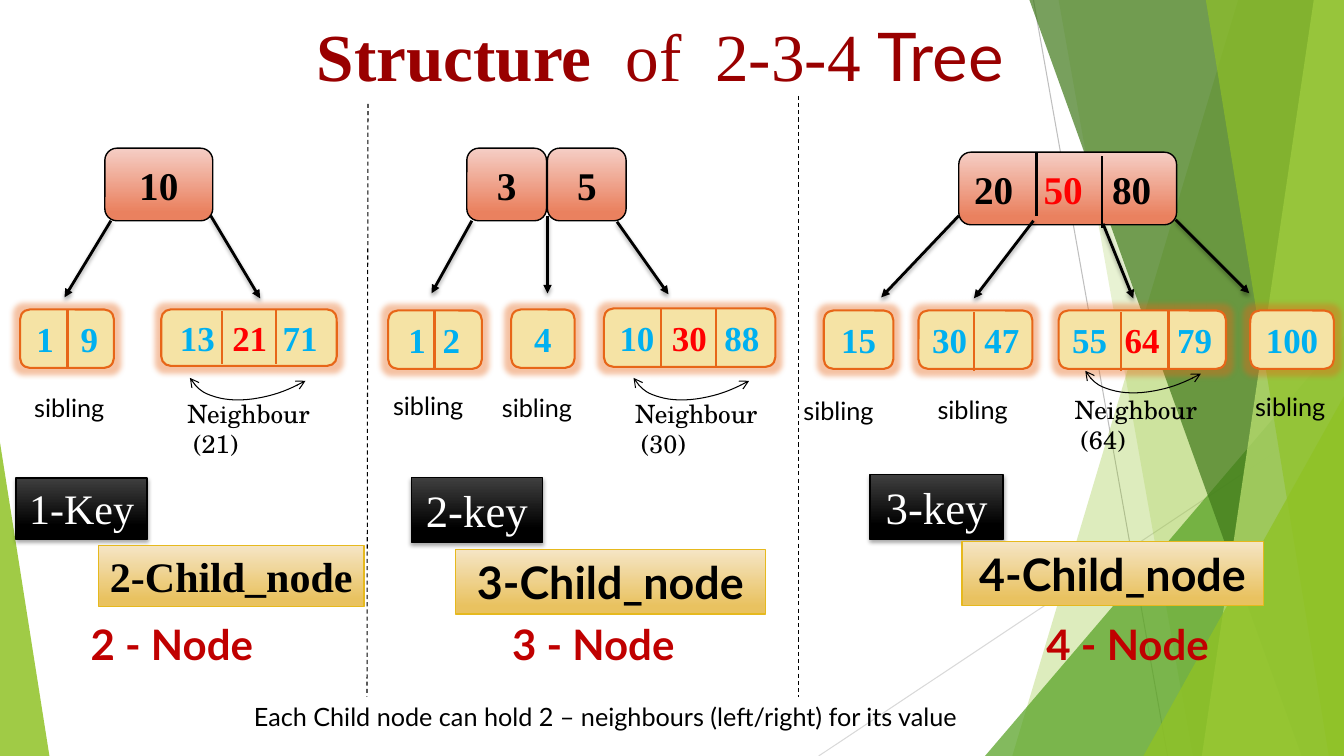
import pptx
import pptx.dml.color
import pptx.enum.dml
import pptx.enum.shapes
import pptx.enum.text
import pptx.oxml.ns
import pptx.util
from dataclasses import dataclass
from lxml import etree

PX = 9144  # 100 px to the inch
qn = pptx.oxml.ns.qn
RGB = pptx.dml.color.RGBColor.from_string
Pt = pptx.util.Pt
SHAPE = pptx.enum.shapes.MSO_SHAPE
ALIGN = pptx.enum.text.PP_ALIGN
ANCHOR = pptx.enum.text.MSO_ANCHOR


@dataclass(frozen=True)
class Theme:
    serif: str = "Times New Roman"
    sans: str = "Lato"
    school: str = "TeX Gyre Schola"
    black: str = "000000"
    white: str = "FFFFFF"
    title: str = "990000"
    node_name: str = "C00000"
    key: str = "00B0F0"
    middle_key: str = "FF0000"
    leaf: str = "F5E3A5"
    leaf_line: str = "E76618"
    gold_line: str = "E6B91E"
    root_fill: tuple = (("F5CEC5", 0), ("EA815F", .88))
    gold_fill: tuple = (("F5E5C5", 0), ("E9C260", .88))
    dark_fill: tuple = (("3F3F3F", 0), ("000000", .78))
    title_size: int = 48
    big: int = 32
    medium: int = 30
    root_size: int = 28
    leaf_size: int = 25
    small: int = 18


T = Theme()


@dataclass(frozen=True)
class Node:
    box: tuple
    keys: tuple           # (text, centre x)
    cuts: tuple = ()      # (x, top, bottom)
    root: bool = False


@dataclass(frozen=True)
class Label:
    box: tuple
    text: str
    size: int
    font: str


ROOTS = [
    Node((951, 151, 216, 72), (("20", 986), ("50", 1055), ("80", 1123)),
         ((1028, 151, 214), (1093, 155, 226)), True),
    Node((104, 147, 107, 72), (("10", 158),), root=True),
    Node((463, 147, 79, 72), (("3", 502),), root=True),
    Node((543, 147, 78, 72), (("5", 582),), root=True),
]
LEAVES = [
    Node((160, 307, 174, 56), (("13", 196), ("21", 248), ("71", 298)), ((220, 309, 361), (274, 307, 361))),
    Node((20, 307, 93, 58), (("1", 45), ("9", 89)), ((67, 307, 365),)),
    Node((1240, 308, 83, 58), (("100", 1281),)),
    Node((1050, 308, 166, 58), (("55", 1081), ("64", 1133), ("79", 1185)), ((1112, 310, 368), (1159, 309, 365))),
    Node((911, 308, 113, 58), (("30", 942), ("47", 994)), ((966, 310, 368),)),
    Node((817, 308, 69, 58), (("15", 852),)),
    Node((599, 306, 170, 58), (("10", 632), ("30", 684), ("88", 736)), ((656, 306, 364), (710, 306, 364))),
    Node((507, 307, 63, 58), (("4", 538),)),
    Node((385, 308, 93, 58), (("1", 414), ("2", 448)), ((431, 308, 366),)),
]
ARROWS = [(543, 214, 543, 291), (468, 219, 428, 291), (612, 220, 663, 292),
          (1025, 219, 966, 296), (1094, 222, 1124, 296), (951, 214, 874, 295),
          (1166, 218, 1239, 291), (110, 219, 64, 295), (209, 214, 258, 296)]
KEY_TAGS = [Label((16, 474, 130, 61), "1-Key", T.medium, T.serif),
            Label((408, 474, 130, 64), "2-key", T.big, T.serif),
            Label((863, 471, 132, 64), "3-key", T.big, T.serif)]
CHILD_TAGS = [Label((98, 541, 263, 61), "2-Child_node", T.medium, T.serif),
              Label((452, 545, 307, 64), "3-Child_node", T.big, T.sans),
              Label((954, 537, 299, 64), "4-Child_node", T.big, T.sans)]
NODE_NAMES = [(80, "2 - Node"), (498, "3 - Node"), (1028, "4 - Node")]
SIBLINGS = [(24, 384), (380, 382), (488, 384), (787, 387), (920, 386), (1235, 383)]
NEIGHBOURS = [(176, 390, "(21)", 176, 269), (620, 390, "(30)", 616, 269), (1056, 386, "(64)", 1064, 262)]

prs = pptx.Presentation()
prs.slide_width, prs.slide_height = 1333 * PX, 750 * PX
s = prs.slides.add_slide(prs.slide_layouts[5])


# Formatting helpers
def px(values: tuple) -> list:
    return [v * PX for v in values]


def node(parent, tag: str, **attrs):
    return etree.SubElement(parent, qn(tag), {k: str(v) for k, v in attrs.items()})


def effects(shape, kind: str = "") -> None:
    lst = node(shape._element.spPr, "a:effectLst")
    if kind == "shadow":
        fx = node(lst, "a:outerShdw", blurRad=Pt(3), dist=Pt(2), dir=5400000, rotWithShape=0)
        node(node(fx, "a:srgbClr", val=T.black), "a:alpha", val=35000)
    elif kind == "glow":
        fx = node(lst, "a:glow", rad=Pt(8))
        node(node(fx, "a:srgbClr", val=T.leaf_line), "a:alpha", val=40000)


def paint(shape, fill, line: str = "", width: float = 1, alpha: int = 100) -> None:
    if isinstance(fill, tuple):
        shape.fill.gradient()
        shape.fill.gradient_angle = 270
        for stop, (color, pos) in zip(shape.fill.gradient_stops, fill):
            stop.color.rgb, stop.position = RGB(color), pos
    elif fill:
        shape.fill.solid()
        shape.fill.fore_color.rgb = RGB(fill)
        if alpha < 100:
            node(shape._element.spPr.find(qn("a:solidFill"))[0], "a:alpha", val=alpha * 1000)
    else:
        shape.fill.background()
    if line:
        shape.line.color.rgb, shape.line.width = RGB(line), Pt(width)
    else:
        shape.line.fill.background()


def style(r, size: int, font: str, color: str, bold: bool = False) -> None:
    r.font.size, r.font.name, r.font.bold = Pt(size), font, bold
    r.font.color.rgb = RGB(color)


def heads(shape, *ends: tuple) -> None:
    for tag, kind in ends:
        node(shape.line._get_or_add_ln(), tag, type=kind)


# Drawing functions
def line(ends: tuple, color: str, width: float, fx: str = ""):
    c = s.shapes.add_connector(pptx.enum.shapes.MSO_CONNECTOR.STRAIGHT, *px(ends))
    c.line.color.rgb, c.line.width = RGB(color), Pt(width)
    effects(c, fx)
    return c


def facet(top: int, bottom: int, color: str, alpha: int) -> None:
    ff = s.shapes.build_freeform(top, 0, scale=PX)
    ff.add_line_segments([(1333, 0), (1333, 750), (bottom, 750)], close=True)
    sp = ff.convert_to_shape()
    paint(sp, color, alpha=alpha)
    effects(sp)


def corner(box: tuple, peak: int, color: str, alpha: int) -> None:
    sp = s.shapes.add_shape(SHAPE.ISOSCELES_TRIANGLE, *px(box))
    sp.adjustments[0] = peak
    paint(sp, color, alpha=alpha)
    effects(sp)


def text(box: tuple, lines: list, size: int, font: str, color: str, bold: bool = False, indent: int = 0) -> None:
    tf = s.shapes.add_textbox(*px(box)).text_frame
    tf.word_wrap = True
    tf.text = "\n".join(lines)
    for i, p in enumerate(tf.paragraphs):
        p._p.get_or_add_pPr().set("marL", str(i * indent * PX))
        style(p.runs[0], size, font, color, bold)


def tree_node(n: Node) -> None:
    sp = s.shapes.add_shape(SHAPE.ROUNDED_RECTANGLE, *px(n.box))
    edge, width = (T.black, 1) if n.root else (T.leaf_line, 1.5)
    paint(sp, T.root_fill if n.root else T.leaf, edge, width)
    effects(sp, "" if n.root else "glow")
    tf = sp.text_frame
    tf.margin_left = tf.margin_right = 0
    p, many = tf.paragraphs[0], len(n.keys) > 1
    p.alignment = ALIGN.LEFT if many else ALIGN.CENTER
    if many:  # centred tab stop for each key, from the rounded text area
        tabs = node(p._p.get_or_add_pPr(), "a:tabLst")
        start = n.box[0] + round(n.box[3] * .05)
        for _, x in n.keys:
            node(tabs, "a:tab", pos=(x - start) * PX, algn="ctr")
    for i, (key, _) in enumerate(n.keys):
        r = p.add_run()
        r.text = "\t" + key if many else key
        color = T.black if n.root else T.key
        if len(n.keys) == 3 and i == 1:
            color = T.middle_key
        style(r, T.root_size if n.root else T.leaf_size, T.serif, color, True)


def tag(label: Label, fill: tuple, edge: str, color: str, child: bool) -> None:
    sp = s.shapes.add_shape(SHAPE.RECTANGLE, *px(label.box))
    paint(sp, fill, edge)
    effects(sp, "" if child else "shadow")
    tf = sp.text_frame
    tf.text, tf.vertical_anchor = label.text, ANCHOR.TOP
    p = tf.paragraphs[0]
    p.alignment = ALIGN.CENTER
    style(p.runs[0], label.size, label.font, color, child)
    if child:  # thin white outline of the letters
        rPr = p.runs[0].font._element
        ln = node(rPr, "a:ln", w=Pt(.75))
        node(node(ln, "a:solidFill"), "a:srgbClr", val=T.white)
        rPr.insert(0, ln)


# Green background facets
line((1025, 0, 1158, 750), "BFBFBF", .75)
line((1333, 403, 812, 750), "D9D9D9", .75)
facet(1228, 1004, "90C226", 30)
facet(1050, 1183, "90C226", 20)
corner((977, 333, 356, 417), 1, "54A021", 72)
facet(1021, 1291, "3F7819", 70)
facet(1303, 1192, "C0E474", 70)
facet(1196, 1318, "90C226", 65)
corner((1134, 393, 199, 357), 1, "90C226", 80)
corner((0, 439, 49, 311), 0, "90C226", 85)

# Title
title = s.shapes.title
title._element.getparent().append(title._element)
title.left, title.top, title.width, title.height = px((80, 9, 1150, 133))
title.text_frame.vertical_anchor = ANCHOR.TOP
p = title.text_frame.paragraphs[0]
p.alignment = ALIGN.CENTER
for words, font, bold in [("Structure  ", T.serif, True), ("of  2-3-4 ", T.serif, False), ("Tree", T.sans, False)]:
    r = p.add_run()
    r.text = words
    style(r, T.title_size, font, T.title, bold)

# Key and child counts
for label in KEY_TAGS:
    tag(label, T.dark_fill, T.black, T.white, False)
for label in CHILD_TAGS:
    tag(label, T.gold_fill, T.gold_line, T.black, True)

# Trees
for n in LEAVES + ROOTS:
    tree_node(n)
for ends in ARROWS:
    heads(line(ends, T.black, 2, "shadow"), ("a:tailEnd", "triangle"))
for n in ROOTS + LEAVES:
    for x, top, bottom in n.cuts:
        line((x, top, x, bottom), T.black if n.root else T.leaf_line, 1.5)

# Column separators
for ends in [(365, 103, 364, 691), (792, 95, 792, 691)]:
    line(ends, T.black, .75).line.dash_style = pptx.enum.dml.MSO_LINE.DASH

# Captions
for x, name in NODE_NAMES:
    text((x, 609, 199, 61), [name], T.medium, T.sans, T.node_name, True)
for x, y in SIBLINGS:
    text((x, y, 98, 40), ["sibling"], T.small, T.sans, T.black)
for x, y, value, arc_x, arc_y in NEIGHBOURS:
    text((x, y, 153, 71), ["Neighbour", value], T.small, T.school, T.black, indent=6)
    arc = s.shapes.add_shape(SHAPE.ARC, *px((arc_x, arc_y, 198, 116)))
    arc.rotation = 151.1
    paint(arc, None, T.black, .75)
    heads(arc, ("a:headEnd", "arrow"), ("a:tailEnd", "arrow"))
    effects(arc)
text((242, 691, 749, 40), ["Each Child node can hold 2 – neighbours (left/right) for its value"],
     T.small, T.sans, T.black)

prs.save("out.pptx")
